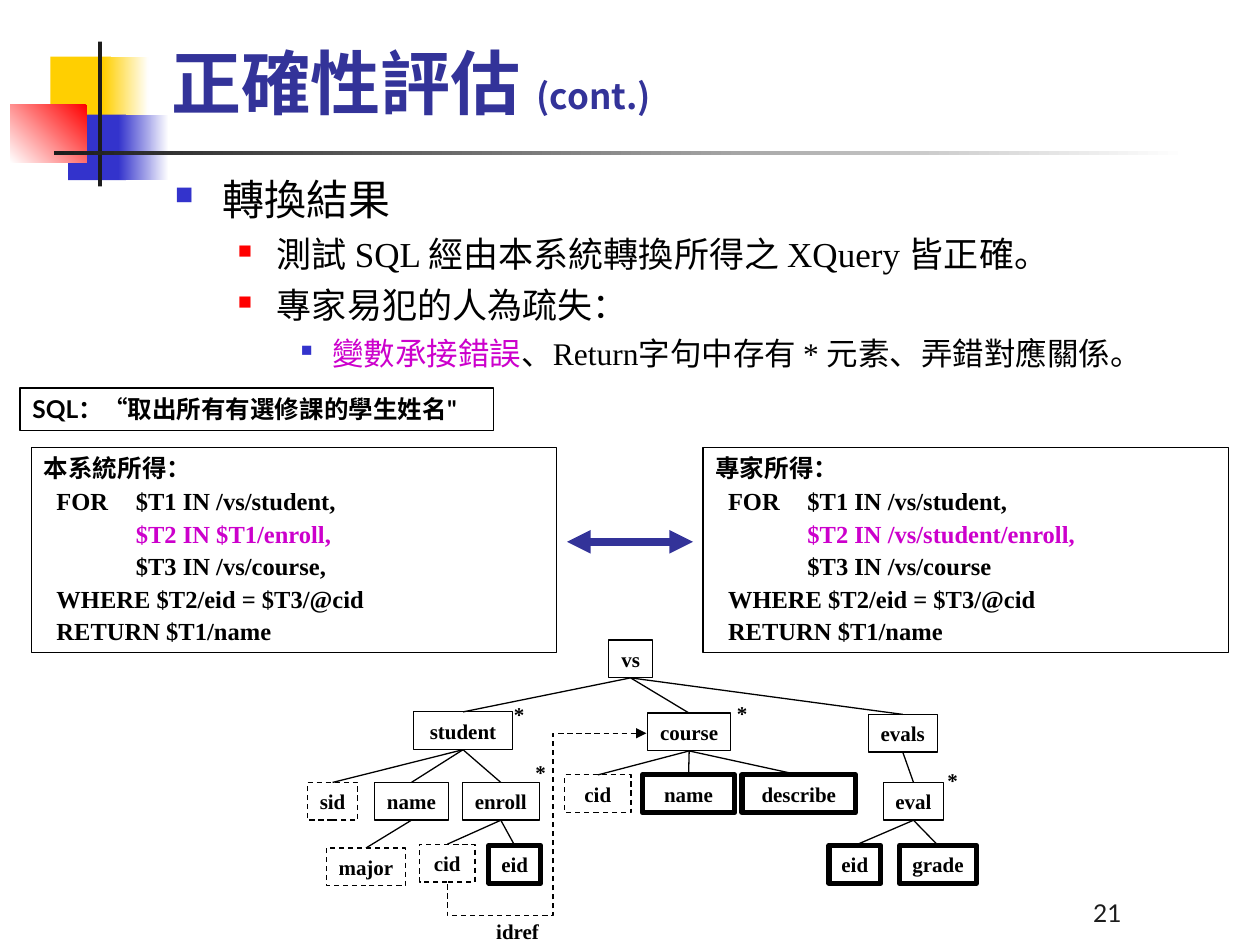
from lxml import etree
from pptx import Presentation, util as u
from pptx.dml.color import RGBColor
from pptx.enum import dml, shapes, text
from pptx.oxml.ns import qn

SERIF, SANS, CJK = "Times New Roman", "Lato", "Noto Sans CJK SC"
BLACK, WHITE, NAVY, BLUE = "000000", "FFFFFF", "333399", "3333CC"
RED, YELLOW, MAGENTA, CHARCOAL = "FF0000", "FFCF01", "CC00CC", "1C1C1C"

# Decoration: box, colours (one = solid, two = gradient), gradient angle
ORNAMENTS = [
    ((0.4, 0.45, 0.48, 0.52), [YELLOW], 0),
    ((0.82, 0.45, 0.36, 0.52), [YELLOW, WHITE], 0),
    ((0.54, 0.91, 0.46, 0.52), [BLUE], 0),
    ((0.94, 0.91, 0.4, 0.52), [BLUE, WHITE], 0),
    ((0.08, 0.83, 0.61, 0.46), [RED, WHITE], 225),
    ((0.78, 0.33, 0.03, 1.15), [CHARCOAL], 0),
    ((0.43, 1.2, 9, 0.03), [CHARCOAL, WHITE], 0),
]

# Outline: level, runs of (text, colour)
OUTLINE = [
    (0, [("轉換結果", BLACK)]),
    (1, [("測試 SQL 經由本系統轉換所得之 XQuery 皆正確。", BLACK)]),
    (1, [("專家易犯的人為疏失：", BLACK)]),
    (2, [("變數承接錯誤", MAGENTA), ("、Return字句中存有 * 元素、弄錯對應關係。", BLACK)]),
]
# Level: size, left indent, hanging, space before, bullet colour, bullet percent
LEVELS = [(24, 0.38, 0.38, 6, BLUE, 60), (20, 0.81, 0.31, 5, RED, 55),
          (18, 1.25, 0.25, 4.5, BLUE, 50)]

# Queries: left edge, heading, binding of $T2, binding of $T3
QUERIES = [
    (0.25, "本系統所得：", "$T2 IN $T1/enroll,", "$T3 IN /vs/course,"),
    (5.58, "專家所得：", "$T2 IN /vs/student/enroll,", "$T3 IN /vs/course"),
]
QUERY_TABS = (0.1, 0.73)

# Schema tree: key -> (label, left, top, width, style, parent)
NODE_H = 0.3
TREE = {
    "vs": ("vs", 4.83, 5.08, 0.35, "plain", None),
    "student": ("student", 3.28, 5.65, 0.79, "plain", "vs"),
    "course": ("course", 5.14, 5.66, 0.66, "plain", "vs"),
    "evals": ("evals", 6.89, 5.67, 0.55, "plain", "vs"),
    "sid": ("sid", 2.44, 6.21, 0.4, "dashed", "student"),
    "name": ("name", 2.97, 6.21, 0.59, "plain", "student"),
    "enroll": ("enroll", 3.67, 6.21, 0.61, "plain", "student"),
    "course cid": ("cid", 4.48, 6.15, 0.53, "dashed", "course"),
    "course name": ("name", 5.1, 6.15, 0.73, "thick", "course"),
    "describe": ("describe", 5.89, 6.15, 0.9, "thick", "course"),
    "eval": ("eval", 7.01, 6.21, 0.48, "plain", "evals"),
    "major": ("major", 2.59, 6.73, 0.63, "dashed", "name"),
    "enroll cid": ("cid", 3.33, 6.7, 0.44, "dashed", "enroll"),
    "enroll eid": ("eid", 3.88, 6.71, 0.41, "thick", "enroll"),
    "eval eid": ("eid", 6.58, 6.71, 0.41, "thick", "eval"),
    "grade": ("grade", 7.14, 6.71, 0.61, "thick", "eval"),
}
TREE_LABELS = [("*", 3.98, 5.52, 0.4), ("*", 4.15, 5.98, 0.4), ("*", 5.75, 5.51, 0.4),
               ("*", 7.42, 6.04, 0.4), ("idref", 3.84, 7.24, 0.54)]

prs = Presentation()
prs.slide_width, prs.slide_height = u.Inches(10), u.Inches(7.5)
slide = prs.slides.add_slide(prs.slide_layouts[6])


def rgb(value):
    return RGBColor.from_string(value)


def inches(values):
    return [u.Inches(v) for v in values]


def sub(parent, tag, **attrs):
    return etree.SubElement(parent, qn(tag), {k: str(v) for k, v in attrs.items()})


def set_font(font, size, name=SERIF, color=BLACK, bold=False):
    font.size, font.name, font.bold = u.Pt(size), name, bold
    font.color.rgb = rgb(color)


def add_rect(box, width=None, dashed=False):
    rect = slide.shapes.add_shape(shapes.MSO_SHAPE.RECTANGLE, *inches(box))
    rect.shadow.inherit = False
    rect.fill.background()
    if width:
        style_line(rect.line, BLACK, width, dashed)
    else:
        rect.line.fill.background()
    return rect


def style_line(line, color, width, dashed=False):
    line.color.rgb, line.width = rgb(color), u.Pt(width)
    if dashed:
        line.dash_style = dml.MSO_LINE.DASH


def add_line(kind, start, end, color=BLACK, width=0.75, dashed=False, arrows=()):
    line = slide.shapes.add_connector(kind, *inches(start + end))
    style_line(line.line, color, width, dashed)
    sub(line._element.spPr, "a:effectLst")
    for arrow in arrows:
        sub(line.line._get_or_add_ln(), arrow, type="triangle")
    return line


def add_text(box):
    return slide.shapes.add_textbox(*inches(box))


def prepare(shape, anchor=text.MSO_ANCHOR.TOP, wrap=True):
    frame = shape.text_frame
    frame.word_wrap, frame.vertical_anchor = wrap, anchor
    return frame


def write(paragraph, content, size, align=text.PP_ALIGN.LEFT, **font):
    paragraph.text, paragraph.alignment = content, align
    set_font(paragraph.font, size, **font)


def next_paragraph(frame, index):
    return frame.add_paragraph() if index else frame.paragraphs[0]


# Decoration
for box, colors, angle in ORNAMENTS:
    fill = add_rect(box).fill
    if len(colors) == 1:
        fill.solid()
        fill.fore_color.rgb = rgb(colors[0])
    else:
        fill.gradient()
        fill.gradient_angle = angle
        for stop, color in zip(fill.gradient_stops, colors):
            stop.color.rgb = rgb(color)

# Title
title = prepare(add_text((1.26, 0.17, 8.52, 0.86)), text.MSO_ANCHOR.BOTTOM).paragraphs[0]
for content, size, name in [("正確性評估 ", 40, SERIF), ("(cont.)", 20, CJK)]:
    run = title.add_run()
    run.text = content
    set_font(run.font, size, name, NAVY, True)

# Outline
outline = prepare(add_text((1.29, 1.33, 8.54, 1.7)))
for i, (level, runs) in enumerate(OUTLINE):
    size, left, hanging, before, bullet_color, percent = LEVELS[level]
    p = next_paragraph(outline, i)
    p.level = level
    if i:
        p.space_before = u.Pt(before)
    pPr = p._p.get_or_add_pPr()
    pPr.set("marL", str(u.Inches(left)))
    pPr.set("indent", str(-u.Inches(hanging)))
    sub(sub(pPr, "a:buClr"), "a:srgbClr", val=bullet_color)
    sub(pPr, "a:buSzPct", val=percent * 1000)
    sub(pPr, "a:buChar", char="■")
    p.font.size, p.font.name = u.Pt(size), SERIF
    for content, color in runs:
        run = p.add_run()
        run.text = content
        run.font.color.rgb = rgb(color)

# SQL statement
sql = prepare(add_rect((0.16, 3.08, 3.76, 0.34), 0.75), wrap=False).paragraphs[0]
write(sql, "SQL：“取出所有有選修課的學生姓名\"", 14, name=SANS, bold=True)

# Queries and the arrow between them
for left, heading, second, third in QUERIES:
    query = prepare(add_rect((left, 3.55, 4.17, 1.63), 0.75))
    lines = [heading, "\tFOR \t$T1 IN /vs/student,", "\t\t" + second, "\t\t" + third,
             "\tWHERE $T2/eid = $T3/@cid", "\tRETURN $T1/name"]
    for i, content in enumerate(lines):
        p = next_paragraph(query, i)
        if i:
            p.space_before = u.Pt(1.8)
        tabs = sub(p._p.get_or_add_pPr(), "a:tabLst")
        for position in QUERY_TABS:
            sub(tabs, "a:tab", pos=u.Inches(position), algn="l")
        write(p, content, 14, color=MAGENTA if second in content else BLACK, bold=True)
add_line(shapes.MSO_CONNECTOR.STRAIGHT, (4.5, 4.3), (5.5, 4.3), NAVY, 4.5,
         arrows=("a:headEnd", "a:tailEnd"))

# Schema tree
nodes = {}
for key, (label, left, top, width, style, parent) in TREE.items():
    node = add_rect((left, top, width, NODE_H), 3 if style == "thick" else 0.75,
                    style == "dashed")
    frame = prepare(node, text.MSO_ANCHOR.MIDDLE, wrap=False)
    write(frame.paragraphs[0], label, 12, text.PP_ALIGN.CENTER, bold=True)
    nodes[key] = node
    if parent:
        edge = add_line(shapes.MSO_CONNECTOR.STRAIGHT, (0, 0), (1, 1))
        edge.begin_connect(nodes[parent], 2)
        edge.end_connect(node, 0)
for label, left, top, width in TREE_LABELS:
    frame = prepare(add_text((left, top, width, NODE_H)), wrap=False)
    write(frame.paragraphs[0], label, 12, bold=True)

# Reference from the enrolment cid to course, turned a quarter to leave downwards
idref = add_line(shapes.MSO_CONNECTOR.ELBOW, (4.94, 7.21), (3.74, 5.63), dashed=True,
                 arrows=("a:tailEnd",))
idref._element.spPr.find(qn("a:xfrm")).set("rot", "5400000")
bend = idref._element.spPr.find(qn("a:prstGeom"))
bend.set("prst", "bentConnector4")
for name, value in (("adj1", -20800), ("adj2", 53100)):
    sub(bend.find(qn("a:avLst")), "a:gd", name=name, fmla=f"val {value}")

# Slide number
number = prepare(add_text((6.92, 6.91, 2.08, 0.5)), text.MSO_ANCHOR.BOTTOM).paragraphs[0]
write(number, "21", 14, text.PP_ALIGN.RIGHT, name=SANS, color=CHARCOAL)

prs.save("out.pptx")
